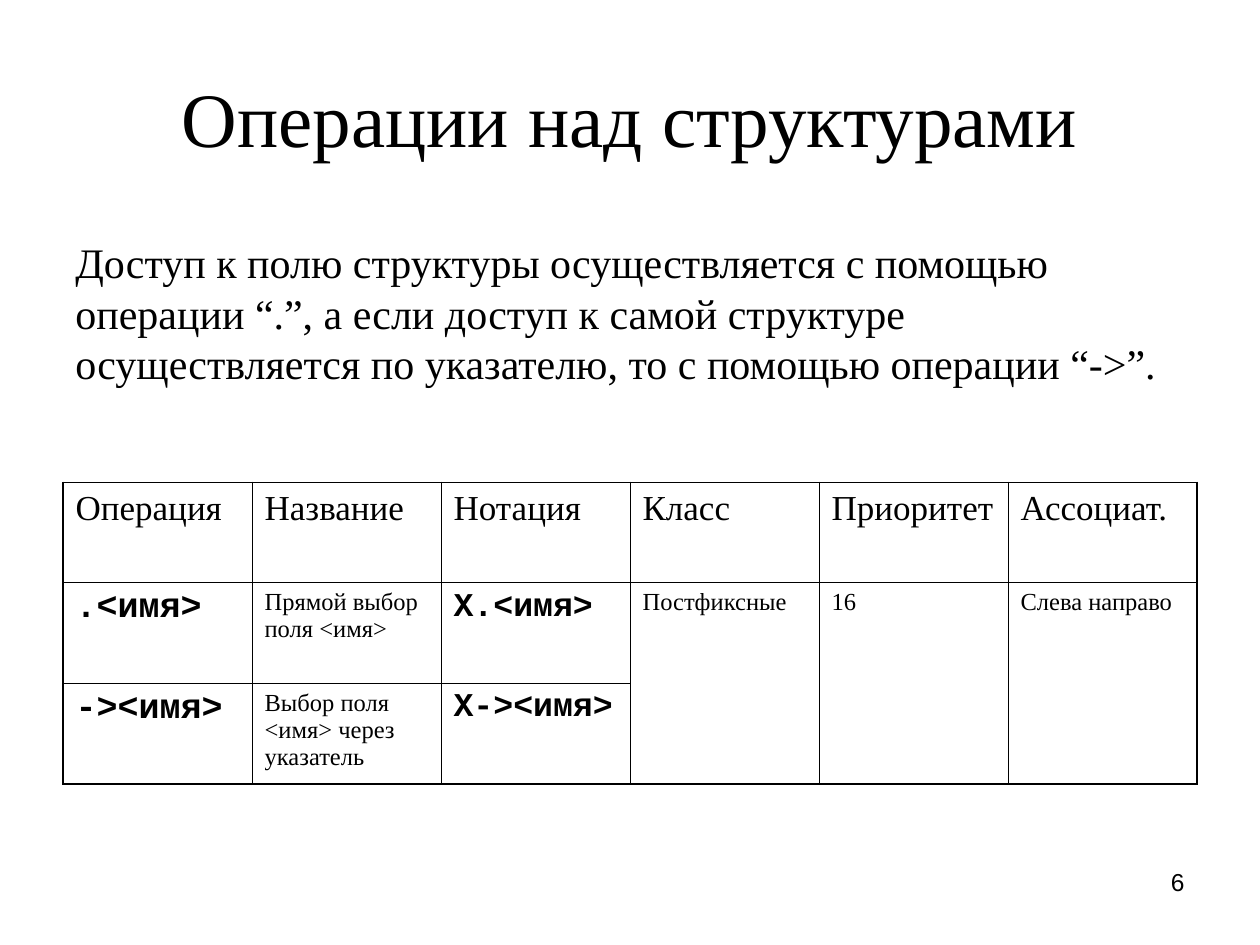
from lxml import etree
from pptx import Presentation, util as u
from pptx.dml.color import RGBColor
from pptx.enum import text as t
from pptx.oxml import ns

BLACK = RGBColor(0x00, 0x00, 0x00)
SERIF, MONO, SANS = "Times New Roman", "Courier New", "Arial"
OUTER, INNER = 1.08, 0.45  # border widths in points

HEADERS = ["Операция", "Название", "Нотация", "Класс", "Приоритет", "Ассоциат."]
OPERATIONS = [
    [".<имя>", "Прямой выбор поля <имя>", "X.<имя>", "Постфиксные", "16", "Слева направо"],
    ["-><имя>", "Выбор поля <имя> через указатель", "X-><имя>"],
]
COLUMN_STYLES = [(20, MONO, True), (14, SERIF, False), (19, MONO, True)] + [(14, SERIF, False)] * 3
MERGED_COLUMNS = range(3, 6)


class SlideBuilder:
    def __init__(self, slide):
        self.slide = slide

    def set_text(self, frame, content, size, font=SERIF, bold=False,
                 align=t.PP_ALIGN.LEFT, before=0):
        frame.word_wrap = True
        paragraph = frame.paragraphs[0]
        paragraph.text = content
        paragraph.alignment = align
        paragraph.space_before = u.Pt(before)
        paragraph.font.size = u.Pt(size)
        paragraph.font.name = font
        paragraph.font.bold = bold
        paragraph.font.color.rgb = BLACK

    def title(self, content, left, top, width, height):
        shape = self.slide.shapes.title
        shape.left, shape.top = u.Inches(left), u.Inches(top)
        shape.width, shape.height = u.Inches(width), u.Inches(height)
        shape.text_frame.vertical_anchor = t.MSO_ANCHOR.MIDDLE
        self.set_text(shape.text_frame, content, 44, align=t.PP_ALIGN.CENTER)

    def text(self, content, left, top, width, height, size, **style):
        shape = self.slide.shapes.add_textbox(
            u.Inches(left), u.Inches(top), u.Inches(width), u.Inches(height))
        self.set_text(shape.text_frame, content, size, **style)

    def table(self, left, top, width, row_heights, column_count):
        frame = self.slide.shapes.add_table(
            len(row_heights), column_count, u.Inches(left), u.Inches(top),
            u.Inches(width), u.Inches(sum(row_heights)))
        table = frame.table
        table.first_row = table.horz_banding = False
        for row, height in zip(table.rows, row_heights):
            row.height = u.Inches(height)
        return table

    def cell(self, cell, content, size, font, bold):
        self.set_text(cell.text_frame, content, size, font, bold, before=size / 4)

    def borders(self, table):
        last_row, last_column = len(table.rows) - 1, len(table.columns) - 1
        for r in range(last_row + 1):
            for c in range(last_column + 1):
                cell = table.cell(r, c)
                cell.fill.background()
                bottom = r + (cell.span_height - 1 if cell.is_merge_origin else 0)
                on_edge = {"L": c == 0, "R": c == last_column,
                           "T": r == 0, "B": bottom == last_row}
                if cell.is_spanned:
                    del on_edge["T"]
                properties = cell._tc.get_or_add_tcPr()
                for index, (side, outer) in enumerate(on_edge.items()):
                    line = etree.Element(ns.qn(f"a:ln{side}"),
                                         w=str(int(u.Pt(OUTER if outer else INNER))))
                    fill = etree.SubElement(line, ns.qn("a:solidFill"))
                    etree.SubElement(fill, ns.qn("a:srgbClr"), val=str(BLACK))
                    properties.insert(index, line)


def main():
    presentation = Presentation()
    presentation.slide_width, presentation.slide_height = u.Inches(10), u.Inches(7.5)
    builder = SlideBuilder(presentation.slides.add_slide(presentation.slide_layouts[5]))

    # Title and explanation
    builder.title("Операции над структурами", 0.5, 0.3, 9, 1.25)
    builder.text("Доступ к полю структуры осуществляется с помощью операции “.”, "
                 "а если доступ к самой структуре осуществляется по указателю, "
                 "то с помощью операции “->”.", 0.5, 1.83, 9, 1.45, 24, before=6)

    # Table of operations
    table = builder.table(0.5, 3.83, 9, [0.79, 0.8, 0.8], len(HEADERS))
    for c in MERGED_COLUMNS:
        table.cell(1, c).merge(table.cell(2, c))
    for c, header in enumerate(HEADERS):
        builder.cell(table.cell(0, c), header, 20, SERIF, False)
    for r, operation in enumerate(OPERATIONS, start=1):
        for c, content in enumerate(operation):
            builder.cell(table.cell(r, c), content, *COLUMN_STYLES[c])
    builder.borders(table)

    # Slide number
    builder.text("6", 7.17, 6.83, 2.33, 0.52, 14, font=SANS, align=t.PP_ALIGN.RIGHT)

    presentation.save("out.pptx")


if __name__ == "__main__":
    main()
